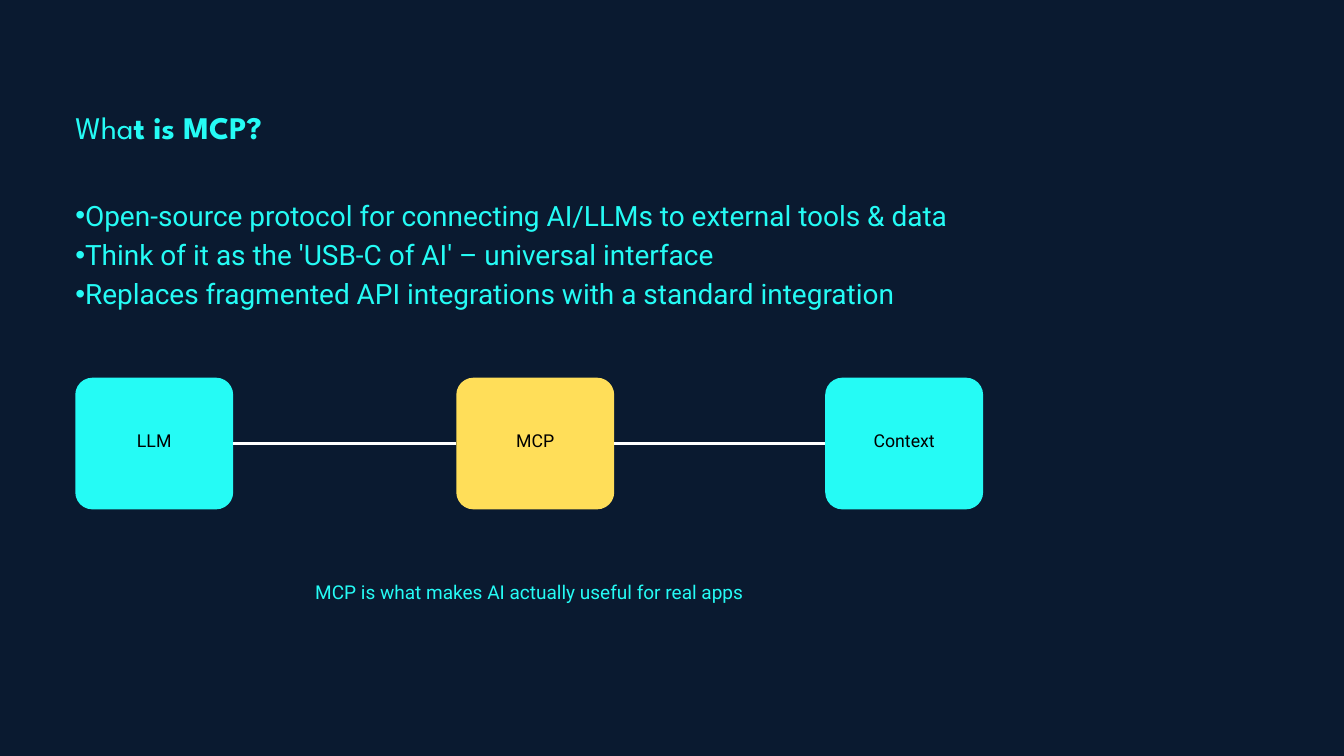
from dataclasses import dataclass
from itertools import pairwise

from pptx import Presentation
from pptx.dml.color import RGBColor as Rgb
from pptx.enum.shapes import MSO_CONNECTOR as Connector, MSO_SHAPE as Shape
from pptx.enum.text import MSO_ANCHOR as Anchor, MSO_AUTO_SIZE as AutoSize, PP_ALIGN as Align
from pptx.oxml.ns import qn
from pptx.util import Inches, Pt


@dataclass(frozen=True)
class Theme:
    night: Rgb = Rgb.from_string("0A1A30")
    cyan: Rgb = Rgb.from_string("25FBF5")
    yellow: Rgb = Rgb.from_string("FFDE59")
    black: Rgb = Rgb.from_string("000000")
    white: Rgb = Rgb.from_string("FFFFFF")
    heading: str = "League Spartan"
    text: str = "Roboto"
    title_size: float = 33.7
    list_size: float = 30
    node_size: float = 19
    caption_size: float = 20.4
    leading: float = 1.4


THEME = Theme()
WIDTH, HEIGHT = Inches(20), Inches(11.25)
MARGIN = 5.6
NODE_TOP, NODE_WIDTH, NODE_HEIGHT = 49.96, 11.75, 17.42
POINTS = [
    "Open-source protocol for connecting AI/LLMs to external tools & data",
    "Think of it as the 'USB-C of AI' – universal interface",
    "Replaces fragmented API integrations with a standard integration",
]
NODES = [
    ("LLM", MARGIN, THEME.cyan),
    ("MCP", 33.95, THEME.yellow),
    ("Context", 61.4, THEME.cyan),
]


def area(left, top, width, height):
    return (
        int(WIDTH * left / 100),
        int(HEIGHT * top / 100),
        int(WIDTH * width / 100),
        int(HEIGHT * height / 100),
    )


def place(holder, *shares):
    holder.left, holder.top, holder.width, holder.height = area(*shares)


def prepare_frame(frame, anchor=Anchor.TOP, inset=0):
    frame.word_wrap = True
    frame.auto_size = AutoSize.NONE
    frame.vertical_anchor = anchor
    frame.margin_left = frame.margin_right = Inches(inset)
    frame.margin_top = frame.margin_bottom = Inches(inset)


def style(paragraph, size, color=THEME.cyan, family=THEME.text, align=Align.CENTER):
    paragraph.alignment = align
    paragraph.line_spacing = Pt(round(size * THEME.leading, 1))
    paragraph.space_before = Pt(0)
    paragraph.font.size = Pt(size)
    paragraph.font.name = family
    paragraph.font.color.rgb = color


def add_bullet(paragraph):
    properties = paragraph._p.get_or_add_pPr()
    indent = Inches(0.14)
    properties.set("marL", str(indent))
    properties.set("indent", str(-indent))
    bullet = properties.makeelement(qn("a:buChar"), {"char": "•"})
    properties.append(bullet)


def fill_title(title):
    place(title, MARGIN, 13.51, 16.75, 5.6)
    prepare_frame(title.text_frame)
    heading = title.text_frame.paragraphs[0]
    for words, bold in (("Wha", False), ("t is MCP?", True)):
        run = heading.add_run()
        run.text = words
        run.font.bold = bold
    style(heading, THEME.title_size, family=THEME.heading, align=Align.LEFT)


def fill_points(body):
    place(body, MARGIN, 25.51, 70.6, 20.53)
    prepare_frame(body.text_frame)
    body.text_frame.text = "\n".join(POINTS)
    for point in body.text_frame.paragraphs:
        add_bullet(point)
        style(point, THEME.list_size, align=Align.JUSTIFY)


def add_node(slide, label, left, color):
    node = slide.shapes.add_shape(
        Shape.ROUNDED_RECTANGLE, *area(left, NODE_TOP, NODE_WIDTH, NODE_HEIGHT)
    )
    node.adjustments[0] = 0.13
    node.shadow.inherit = False
    node.fill.solid()
    node.fill.fore_color.rgb = color
    node.line.fill.background()
    prepare_frame(node.text_frame, Anchor.MIDDLE, 0.06)
    node.text_frame.margin_bottom = Inches(0.2)
    node.text_frame.text = label
    style(node.text_frame.paragraphs[0], THEME.node_size, THEME.black)
    return node


def link(slide, source, target):
    wire = slide.shapes.add_connector(Connector.STRAIGHT, 0, 0, 0, 0)
    wire.begin_connect(source, 3)
    wire.end_connect(target, 1)
    wire.line.color.rgb = THEME.white
    wire.line.width = Pt(3)
    properties = wire._element.spPr
    properties.append(properties.makeelement(qn("a:effectLst"), {}))


def add_caption(slide, words):
    caption = slide.shapes.add_textbox(*area(17.35, 76.27, 44.05, 3.47))
    prepare_frame(caption.text_frame)
    caption.text_frame.text = words
    style(caption.text_frame.paragraphs[0], THEME.caption_size)


def main():
    deck = Presentation()
    deck.slide_width, deck.slide_height = WIDTH, HEIGHT
    slide = deck.slides.add_slide(deck.slide_layouts[1])
    slide.background.fill.solid()
    slide.background.fill.fore_color.rgb = THEME.night
    fill_title(slide.shapes.title)
    fill_points(slide.placeholders[1])
    nodes = [add_node(slide, *node) for node in NODES]
    for source, target in pairwise(nodes):
        link(slide, source, target)
    add_caption(slide, "MCP is what makes AI actually useful for real apps")
    deck.save("out.pptx")


if __name__ == "__main__":
    main()
